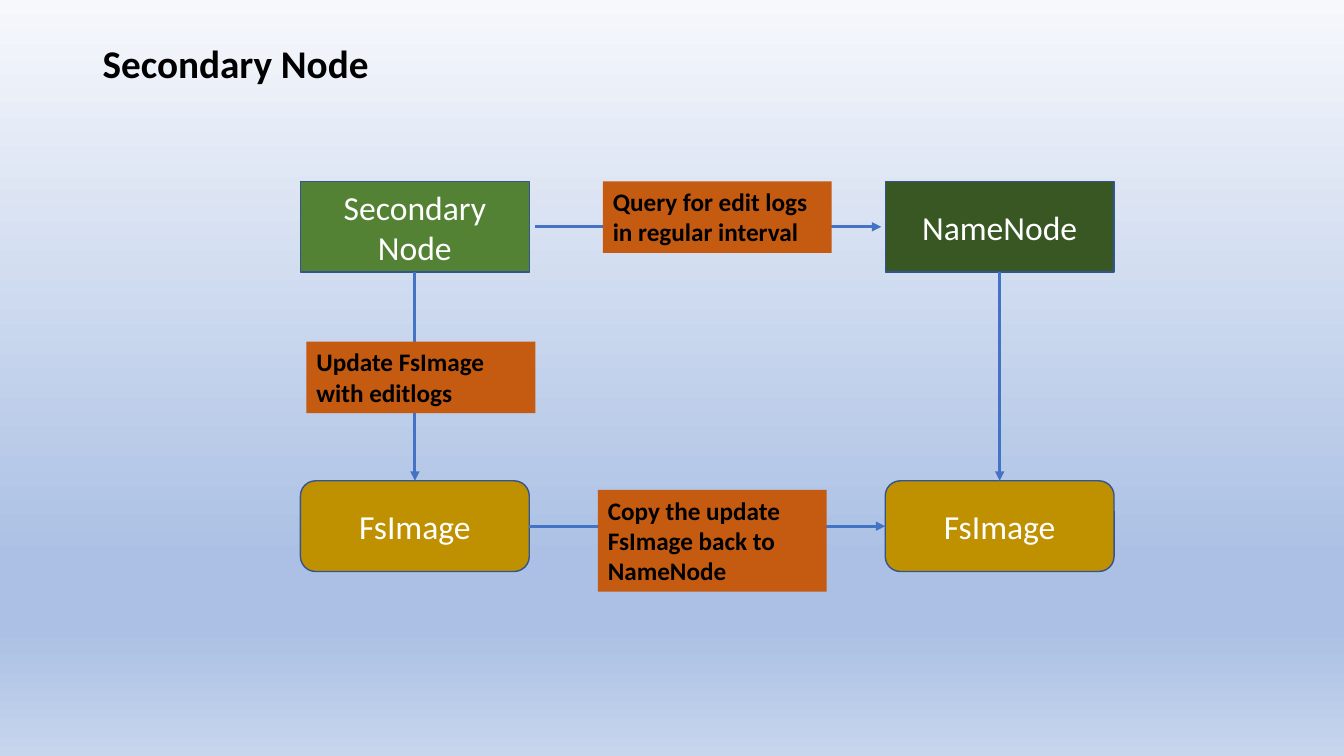
from dataclasses import dataclass

from pptx import Presentation
from pptx.dml.color import RGBColor
from pptx.enum.shapes import MSO_CONNECTOR, MSO_SHAPE
from pptx.enum.text import MSO_ANCHOR, MSO_AUTO_SIZE, PP_ALIGN
from pptx.oxml.ns import qn
from pptx.util import Inches, Pt
from lxml.etree import SubElement


@dataclass(frozen=True)
class Theme:
    font: str = "Calibri"
    title_size: int = 28
    node_size: int = 24
    label_size: int = 18
    black: str = "000000"
    white: str = "FFFFFF"
    outline: str = "325491"
    arrow: str = "4472C4"
    label: str = "C55A11"
    image: str = "BF9000"
    secondary: str = "548235"
    name: str = "385723"
    backdrop: tuple = ((0, "F6F8FC"), (74, "ABC0E4"), (83, "ABC0E4"), (100, "C7D5ED"))


T = Theme()


def rgb(value):
    return RGBColor.from_string(value)


def write(sp, text, size, color, bold=False, align=PP_ALIGN.LEFT, anchor=MSO_ANCHOR.MIDDLE):
    tf = sp.text_frame
    tf.word_wrap = True
    tf.vertical_anchor = anchor
    tf.text = text
    p = tf.paragraphs[0]
    p.alignment = align
    font = p.runs[0].font
    font.name, font.size, font.bold = T.font, Pt(size), bold
    font.color.rgb = rgb(color)
    return tf


prs = Presentation()
prs.slide_width, prs.slide_height = Inches(13.33), Inches(7.5)
s = prs.slides.add_slide(prs.slide_layouts[6])

fill = s.background.fill
fill.gradient()
fill.gradient_angle = 270
stops = s.element.find(".//" + qn("a:gsLst"))
for stop in list(stops):
    stops.remove(stop)
for percent, color in T.backdrop:
    stop = SubElement(stops, qn("a:gs"), pos=str(percent * 1000))
    SubElement(stop, qn("a:srgbClr"), val=color)

title = s.shapes.add_textbox(Inches(0.92), Inches(0.4), Inches(11.5), Inches(0.5))
tf = write(title, "Secondary Node", T.title_size, T.black, bold=True)
tf.paragraphs[0].line_spacing = 0.9

BOX_W, BOX_H = 2.27, 0.9
LEFT, RIGHT = 2.98, 8.78
TOP, BOTTOM = 1.8, 4.77

nodes = [
    (LEFT, BOTTOM, MSO_SHAPE.ROUNDED_RECTANGLE, T.image, "FsImage"),
    (RIGHT, BOTTOM, MSO_SHAPE.ROUNDED_RECTANGLE, T.image, "FsImage"),
    (LEFT, TOP, MSO_SHAPE.RECTANGLE, T.secondary, "Secondary Node"),
    (RIGHT, TOP, MSO_SHAPE.RECTANGLE, T.name, "NameNode"),
]
for x, y, kind, color, text in nodes:
    sp = s.shapes.add_shape(kind, Inches(x), Inches(y), Inches(BOX_W), Inches(BOX_H))
    sp.shadow.inherit = False
    sp.fill.solid()
    sp.fill.fore_color.rgb = rgb(color)
    sp.line.color.rgb = rgb(T.outline)
    sp.line.width = Pt(1)
    write(sp, text, T.node_size, T.white, align=PP_ALIGN.CENTER)

left_mid, right_mid = LEFT + BOX_W / 2, RIGHT + BOX_W / 2
top_mid, bottom_mid = TOP + BOX_H / 2, BOTTOM + BOX_H / 2
arrows = [
    (5.31, top_mid, 8.74, top_mid),
    (right_mid, TOP + BOX_H, right_mid, BOTTOM),
    (left_mid, TOP + BOX_H, left_mid, BOTTOM),
    (LEFT + BOX_W, bottom_mid, RIGHT, bottom_mid),
]
for ends in arrows:
    arrow = s.shapes.add_connector(MSO_CONNECTOR.STRAIGHT, *map(Inches, ends))
    arrow.line.color.rgb = rgb(T.arrow)
    arrow.line.width = Pt(2.25)
    SubElement(arrow.line._get_or_add_ln(), qn("a:tailEnd"), type="triangle")
    SubElement(arrow._element.spPr, qn("a:effectLst"))

labels = [
    (5.98, 1.8, 0.71, "Query for edit logs in regular interval"),
    (3.04, 3.39, 0.71, "Update FsImage with editlogs"),
    (5.93, 4.86, 1.01, "Copy the update FsImage back to NameNode"),
]
for x, y, height, text in labels:
    sp = s.shapes.add_textbox(Inches(x), Inches(y), Inches(BOX_W), Inches(height))
    sp.fill.solid()
    sp.fill.fore_color.rgb = rgb(T.label)
    tf = write(sp, text, T.label_size, T.black, bold=True, anchor=MSO_ANCHOR.TOP)
    tf.auto_size = MSO_AUTO_SIZE.SHAPE_TO_FIT_TEXT

prs.save("out.pptx")
